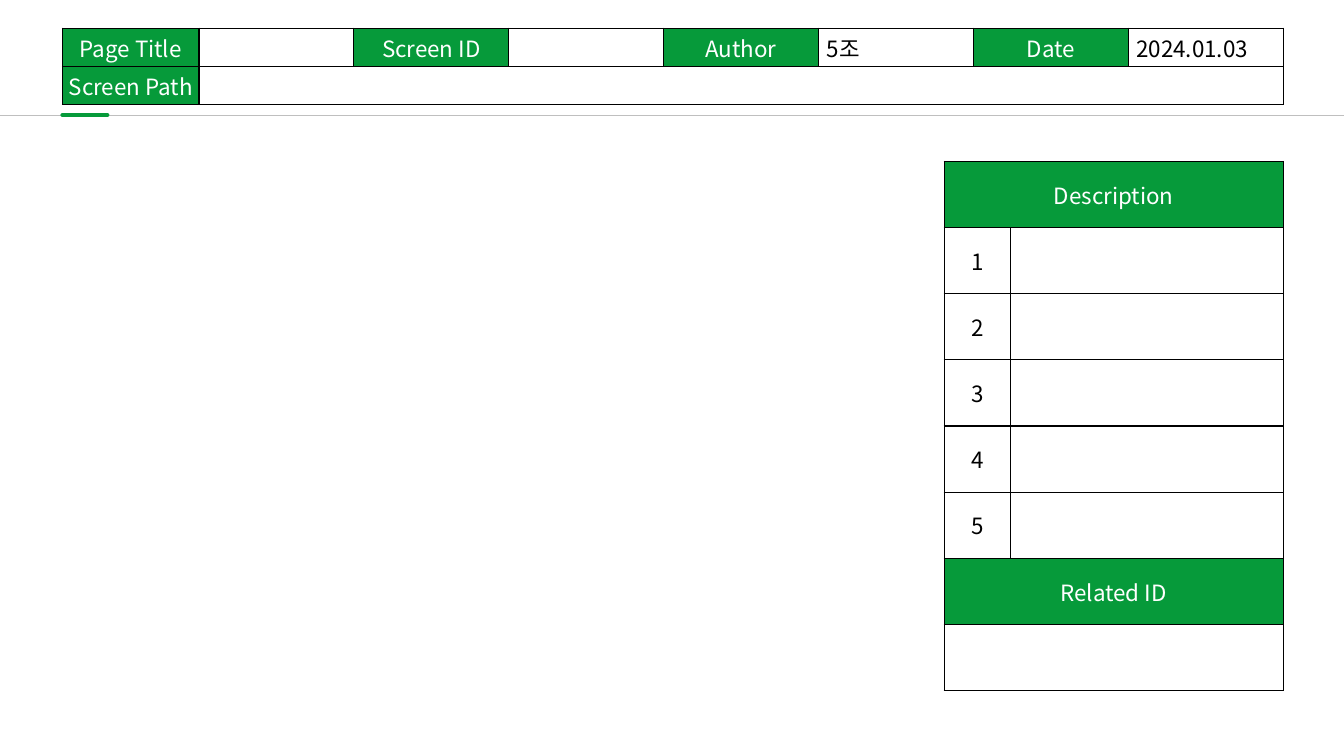
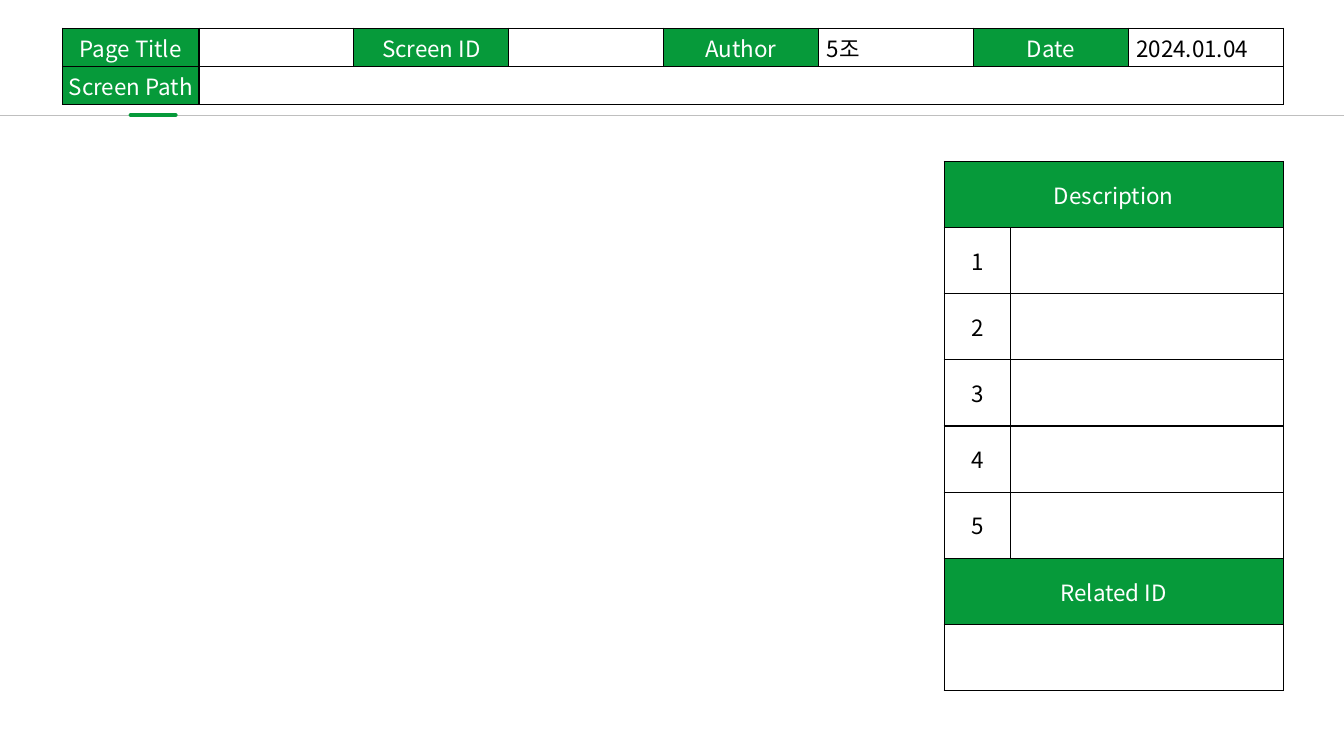
from lxml import etree
from pptx import Presentation
from pptx.dml.color import RGBColor
from pptx.enum import shapes, text
from pptx.oxml import ns
from pptx.util import Pt

GREEN = RGBColor(0x06, 0x9A, 0x3A)
GREY = RGBColor(0xBF, 0xBF, 0xBF)
BLACK = RGBColor(0, 0, 0)
WHITE = RGBColor(0xFF, 0xFF, 0xFF)

FONT = "Noto Sans CJK KR"
TEXT_SIZE = 16
CELL_INSET = 2
VALUE_INDENT = 5.8

SLIDE_W, SLIDE_H = 960, 540
MARGIN = 44.64
CONTENT_W = 872
LABEL_W = 97.5
HEADER_TOP, HEADER_ROW = 20.2, 27.2
RULE_TOP, ACCENT_TOP, ACCENT_W = 82.6, 82.1, 32
PANEL_W, PANEL_TOP, PANEL_ROW = 242.2, 115.4, 47.25

# Date and left end of the green accent on each slide
SCREENS = [("2024.01.03", MARGIN), ("2024.01.04", 93.4)]


def add_line(slide, left, top, width, color, weight, rounded=False):
    line = slide.shapes.add_connector(
        shapes.MSO_CONNECTOR.STRAIGHT, Pt(left), Pt(top), Pt(left + width), Pt(top))
    line.line.color.rgb = color
    line.line.width = Pt(weight)
    if rounded:
        line.line._get_or_add_ln().set("cap", "rnd")
    etree.SubElement(line._element.spPr, ns.qn("a:effectLst"))


def add_borders(cell):
    properties = cell._tc.get_or_add_tcPr()
    for side in ("lnL", "lnR", "lnT", "lnB"):
        border = etree.SubElement(properties, ns.qn(f"a:{side}"), w=str(Pt(1)))
        fill = etree.SubElement(border, ns.qn("a:solidFill"))
        etree.SubElement(fill, ns.qn("a:srgbClr"), val=str(BLACK))


def add_grid(slide, left, top, col_widths, row_height, row_count):
    """Add a plain table with black borders and no cell fill."""
    frame = slide.shapes.add_table(
        row_count, len(col_widths), Pt(left), Pt(top),
        Pt(sum(col_widths)), Pt(row_height * row_count))
    grid = frame.table
    grid.first_row = grid.horz_banding = False
    for column, width in zip(grid.columns, col_widths):
        column.width = Pt(width)
    for row in grid.rows:
        row.height = Pt(row_height)
        for cell in row.cells:
            add_borders(cell)
            cell.fill.background()
            cell.vertical_anchor = text.MSO_ANCHOR.MIDDLE
            cell.margin_left = cell.margin_right = Pt(CELL_INSET)
            cell.margin_top = cell.margin_bottom = Pt(CELL_INSET)
    return grid


def write_cell(cell, wording, color=BLACK, align=text.PP_ALIGN.CENTER):
    paragraph = cell.text_frame.paragraphs[0]
    paragraph.text = wording
    paragraph.alignment = align
    font = paragraph.runs[0].font
    font.size = Pt(TEXT_SIZE)
    font.name = FONT
    font.color.rgb = color
    # Korean letters take their typeface from a:ea
    etree.SubElement(font._element, ns.qn("a:ea"), typeface=FONT)


def write_label(cell, wording):
    cell.fill.solid()
    cell.fill.fore_color.rgb = GREEN
    write_cell(cell, wording, WHITE)


def add_header(slide, left, top, width, date):
    fields = [("Page Title", ""), ("Screen ID", ""), ("Author", "5조"), ("Date", date)]
    other_count = 2 * len(fields) - 1
    widths = [LABEL_W] + [(width - LABEL_W) / other_count] * other_count
    header = add_grid(slide, left, top, widths, HEADER_ROW, 2)
    for index, (label, value) in enumerate(fields):
        write_label(header.cell(0, 2 * index), label)
        if value:
            value_cell = header.cell(0, 2 * index + 1)
            value_cell.margin_left = Pt(VALUE_INDENT)
            write_cell(value_cell, value, align=text.PP_ALIGN.LEFT)
    write_label(header.cell(1, 0), "Screen Path")
    header.cell(1, 1).merge(header.cell(1, other_count))


def add_description(slide, left, top, width):
    item_count = 5
    related_row = item_count + 1
    panel = add_grid(slide, left, top, [PANEL_ROW, width - PANEL_ROW],
                     PANEL_ROW, item_count + 3)
    for row in (0, related_row, related_row + 1):
        panel.cell(row, 0).merge(panel.cell(row, 1))
    write_label(panel.cell(0, 0), "Description")
    for number in range(1, item_count + 1):
        write_cell(panel.cell(number, 0), str(number))
    write_label(panel.cell(related_row, 0), "Related ID")


def add_screen(deck, date, accent_left):
    slide = deck.slides.add_slide(deck.slide_layouts[6])
    # Rule and accent
    add_line(slide, 0, RULE_TOP, SLIDE_W, GREY, 0.5)
    add_line(slide, accent_left, ACCENT_TOP, ACCENT_W, GREEN, 3, rounded=True)
    # Tables, sharing the right margin
    add_header(slide, MARGIN, HEADER_TOP, CONTENT_W, date)
    add_description(slide, MARGIN + CONTENT_W - PANEL_W, PANEL_TOP, PANEL_W)


def main():
    deck = Presentation()
    deck.slide_width, deck.slide_height = Pt(SLIDE_W), Pt(SLIDE_H)
    for date, accent_left in SCREENS:
        add_screen(deck, date, accent_left)
    deck.save("out.pptx")


if __name__ == "__main__":
    main()
